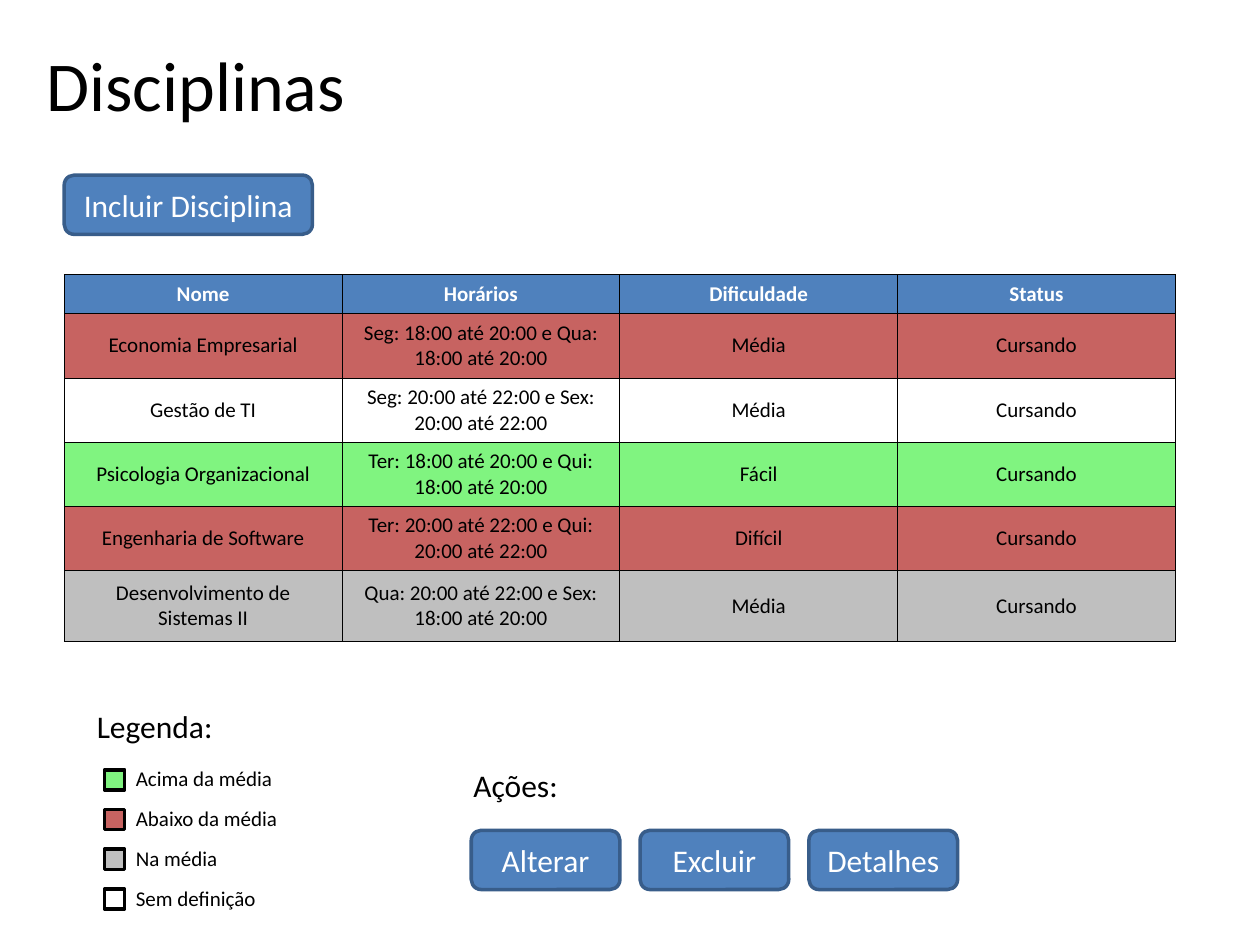
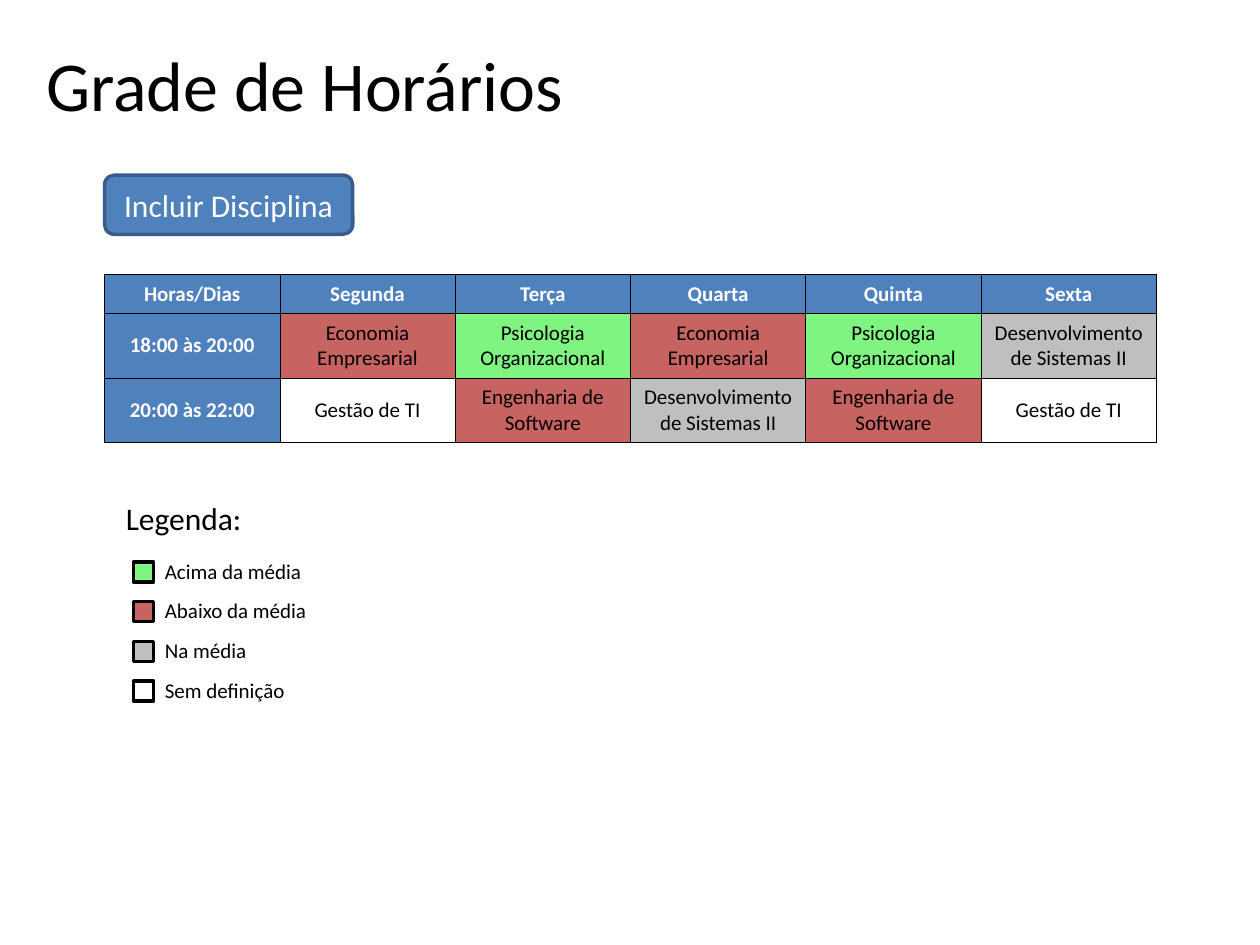
"""Build the course list and timetable slides."""
from lxml.etree import SubElement
from pptx import Presentation
from pptx.dml.color import RGBColor
from pptx.enum.shapes import MSO_SHAPE
from pptx.enum.text import MSO_ANCHOR, PP_ALIGN
from pptx.oxml.ns import qn
from pptx.util import Inches, Pt

BLACK = RGBColor(0x00, 0x00, 0x00)
WHITE = RGBColor(0xFF, 0xFF, 0xFF)
BLUE = RGBColor(0x4F, 0x81, 0xBD)
DARK_BLUE = RGBColor(0x38, 0x5D, 0x8A)
GREEN = RGBColor(0x80, 0xF4, 0x80)
RED = RGBColor(0xC7, 0x63, 0x61)
GREY = RGBColor(0xBF, 0xBF, 0xBF)
FONT = "Calibri"

LEGEND = [("Acima da média", GREEN), ("Abaixo da média", RED),
          ("Na média", GREY), ("Sem definição", WHITE)]
LEGEND_PITCH = 0.315

ECONOMIA = "Economia Empresarial"
GESTAO = "Gestão de TI"
PSICOLOGIA = "Psicologia Organizacional"
ENGENHARIA = "Engenharia de Software"
SISTEMAS = "Desenvolvimento de Sistemas II"
COURSE_FILL = {ECONOMIA: RED, GESTAO: WHITE, PSICOLOGIA: GREEN,
               ENGENHARIA: RED, SISTEMAS: GREY}

SLIDES = [
    {"title": "Disciplinas", "left": 0.51, "width": 8.82,
     "heights": [0.31, 0.51, 0.51, 0.51, 0.51, 0.56],
     "rows": [
         ["Nome", "Horários", "Dificuldade", "Status"],
         [ECONOMIA, "Seg: 18:00 até 20:00 e Qua: 18:00 até 20:00", "Média", "Cursando"],
         [GESTAO, "Seg: 20:00 até 22:00 e Sex: 20:00 até 22:00", "Média", "Cursando"],
         [PSICOLOGIA, "Ter: 18:00 até 20:00 e Qui: 18:00 até 20:00", "Fácil", "Cursando"],
         [ENGENHARIA, "Ter: 20:00 até 22:00 e Qui: 20:00 até 22:00", "Difícil", "Cursando"],
         [SISTEMAS, "Qua: 20:00 até 22:00 e Sex: 18:00 até 20:00", "Média", "Cursando"]],
     "legend": (0.67, 5.56), "actions": ["Alterar", "Excluir", "Detalhes"]},
    {"title": "Grade de Horários", "left": 0.83, "width": 8.35,
     "heights": [0.31, 0.51, 0.51],
     "rows": [
         ["Horas/Dias", "Segunda", "Terça", "Quarta", "Quinta", "Sexta"],
         ["18:00 às 20:00", ECONOMIA, PSICOLOGIA, ECONOMIA, PSICOLOGIA, SISTEMAS],
         ["20:00 às 22:00", GESTAO, ENGENHARIA, SISTEMAS, ENGENHARIA, GESTAO]],
     "legend": (0.9, 3.91), "actions": []},
]


def add_label(s, text, x, y, w, h, size):
    tf = s.shapes.add_textbox(Inches(x), Inches(y), Inches(w), Inches(h)).text_frame
    tf.word_wrap = True
    tf.text = text
    font = tf.paragraphs[0].runs[0].font
    font.name, font.size, font.color.rgb = FONT, Pt(size), BLACK


def add_box(s, kind, x, y, w, h, fill, line, text=""):
    sp = s.shapes.add_shape(kind, Inches(x), Inches(y), Inches(w), Inches(h))
    sp.shadow.inherit = False
    sp.fill.solid()
    sp.fill.fore_color.rgb = fill
    sp.line.color.rgb = line
    sp.line.width = Pt(2)
    if text:
        tf = sp.text_frame
        tf.word_wrap = True
        tf.vertical_anchor = MSO_ANCHOR.MIDDLE
        tf.text = text
        p = tf.paragraphs[0]
        p.alignment = PP_ALIGN.CENTER
        font = p.runs[0].font
        font.name, font.size, font.color.rgb = FONT, Pt(18), WHITE


prs = Presentation()
prs.slide_width = Inches(10)
prs.slide_height = Inches(7.5)

for page in SLIDES:
    s = prs.slides.add_slide(prs.slide_layouts[6])
    add_label(s, page["title"], 0.27, 0.28, 5.91, 0.77, 40)

    rows, heights = page["rows"], page["heights"]
    table = s.shapes.add_table(
        len(rows), len(rows[0]), Inches(page["left"]), Inches(2.18),
        Inches(page["width"]), Inches(sum(heights))).table
    table.first_row = False
    table.horz_banding = False
    for column in table.columns:
        column.width = Inches(page["width"] / len(rows[0]))
    for i, (row, height) in enumerate(zip(rows, heights)):
        table.rows[i].height = Inches(height)
        for j, text in enumerate(row):
            cell = table.cell(i, j)
            fill = COURSE_FILL.get(text, COURSE_FILL.get(row[0], BLUE))
            cell.vertical_anchor = MSO_ANCHOR.MIDDLE
            tcPr = cell._tc.get_or_add_tcPr()
            for side in ("a:lnL", "a:lnR", "a:lnT", "a:lnB"):
                ln = SubElement(tcPr, qn(side), w=str(Pt(0.45)))
                SubElement(SubElement(ln, qn("a:solidFill")), qn("a:srgbClr"), val=str(BLACK))
            cell.fill.solid()
            cell.fill.fore_color.rgb = fill
            cell.text_frame.text = text
            p = cell.text_frame.paragraphs[0]
            p.alignment = PP_ALIGN.CENTER
            font = p.runs[0].font
            font.name, font.size = FONT, Pt(12)
            font.bold = fill == BLUE
            font.color.rgb = WHITE if fill == BLUE else BLACK

    x, y = page["legend"]
    add_label(s, "Legenda:", x, y, 1.57, 0.4, 18)
    for i, (text, fill) in enumerate(LEGEND):
        top = y + 0.55 + i * LEGEND_PITCH
        add_box(s, MSO_SHAPE.RECTANGLE, x + 0.16, top, 0.16, 0.16, fill, BLACK)
        add_label(s, text, x + 0.31, top - 0.08, 1.89, 0.3, 12)

    if page["actions"]:
        add_label(s, "Ações:", 3.66, 6.03, 1.57, 0.4, 18)
    for i, text in enumerate(page["actions"]):
        add_box(s, MSO_SHAPE.ROUNDED_RECTANGLE, 3.74 + i * 1.34, 6.59, 1.18, 0.47,
                BLUE, DARK_BLUE, text)
    add_box(s, MSO_SHAPE.ROUNDED_RECTANGLE, page["left"], 1.39, 1.97, 0.47,
            BLUE, DARK_BLUE, "Incluir Disciplina")

prs.save("out.pptx")
